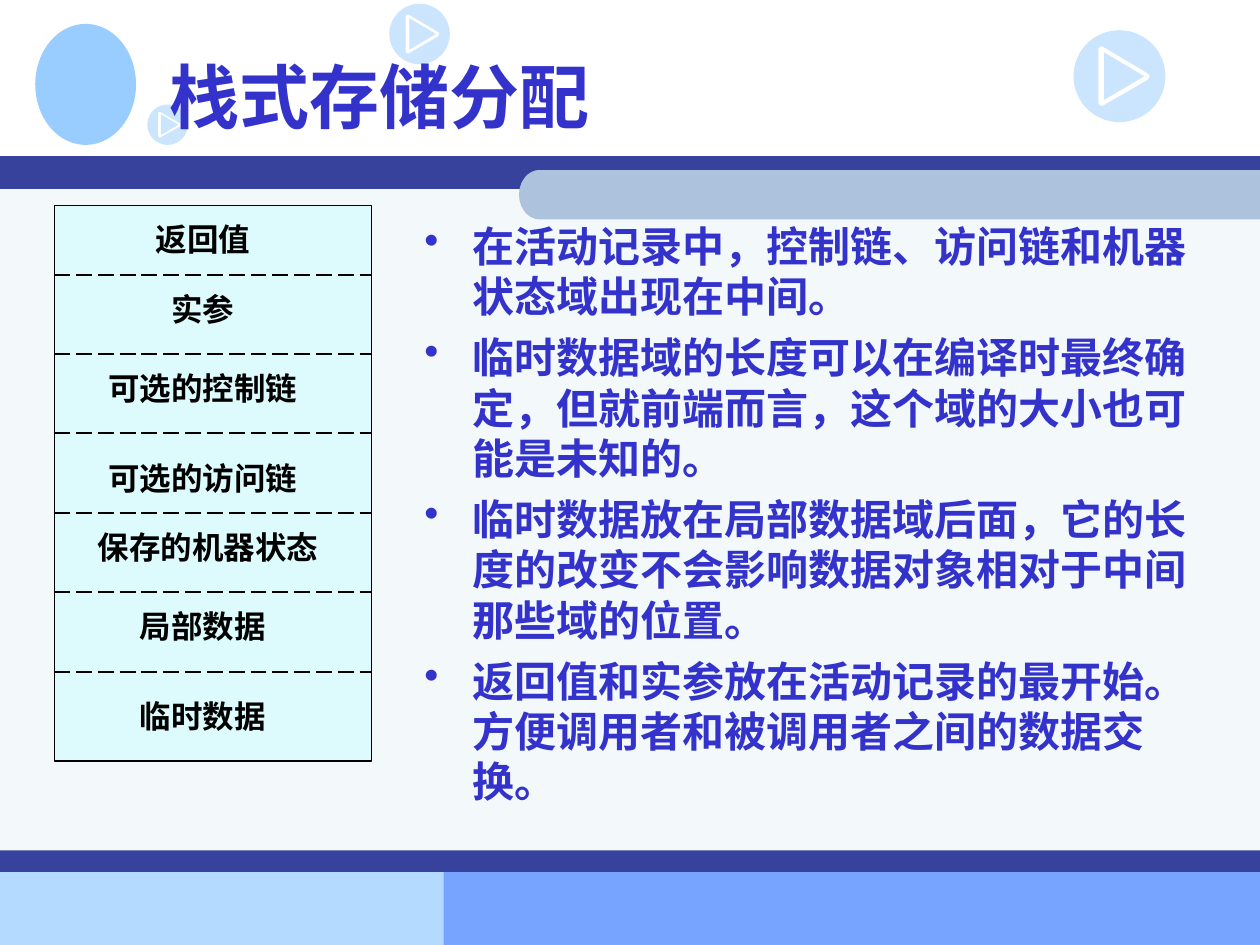
from dataclasses import dataclass
from math import cos, pi, sin

from lxml import etree
from pptx import Presentation
from pptx.dml.color import RGBColor
from pptx.enum import dml, shapes, text
from pptx.oxml.ns import qn
from pptx.util import Inches, Pt


@dataclass(frozen=True)
class Theme:
    ink: str = "3333CC"
    band: str = "36429B"
    panel: str = "F3F8FB"
    tab: str = "ADC3DD"
    footer_left: str = "B5DAFF"
    footer_right: str = "77A4FF"
    badge: str = "99CCFF"
    record: str = "CCFFFF"
    black: str = "000000"
    cjk: str = "Noto Sans CJK SC"
    serif: str = "Times New Roman"
    title_size: float = 40
    body_size: float = 24
    label_size: float = 18


@dataclass(frozen=True)
class Block:
    x: float
    y: float
    w: float
    h: float
    color: str


@dataclass(frozen=True)
class Badge:
    x: float
    y: float
    size: float


@dataclass(frozen=True)
class Field:
    label: str
    width: float = 1.89
    drop: float = 0.07
    center: float = 1.61


THEME = Theme()
UNITS_PER_INCH = 1000  # freeform points are whole numbers

BLOCKS = [
    Block(0, 6.92, 4.25, 0.58, THEME.footer_left),
    Block(3.52, 6.91, 6.48, 0.59, THEME.footer_right),
    Block(0, 1.4, 10, 5.51, THEME.panel),
    Block(0, 1.24, 10, 0.26, THEME.band),
    Block(0, 6.75, 10, 0.17, THEME.band),
]
EMBLEM = Block(0.28, 0.19, 0.8, 0.96, THEME.badge)
BADGES = [Badge(3.09, 0.03, 0.48), Badge(8.52, 0.24, 0.73), Badge(1.17, 0.83, 0.32)]

RECORD = Block(0.43, 1.63, 2.52, 4.41, THEME.record)
FIRST_DIVIDER, ROW_HEIGHT = 2.18, 0.63
FIELDS = [
    Field("返回值", 1.57),
    Field("实参", 1.57),
    Field("可选的控制链"),
    Field("可选的访问链", drop=0.15),
    Field("保存的机器状态", 2.13, center=1.65),
    Field("局部数据"),
    Field("临时数据", drop=0.15),
]
POINTS = [
    "在活动记录中，控制链、访问链和机器状态域出现在中间。",
    "临时数据域的长度可以在编译时最终确定，但就前端而言，这个域的大小也可能是未知的。",
    "临时数据放在局部数据域后面，它的长度的改变不会影响数据对象相对于中间那些域的位置。",
    "返回值和实参放在活动记录的最开始。方便调用者和被调用者之间的数据交换。",
]


def paint(sp, color: str, alpha: int = 100) -> None:
    sp.shadow.inherit = False
    sp.line.fill.background()
    sp.fill.solid()
    sp.fill.fore_color.rgb = RGBColor.from_string(color)
    if alpha < 100:
        clr = sp._element.spPr.find(qn("a:solidFill")).find(qn("a:srgbClr"))
        etree.SubElement(clr, qn("a:alpha"), val=str(alpha * 1000))


def add_block(parent, b: Block, alpha: int = 100, kind=shapes.MSO_SHAPE.RECTANGLE):
    sp = parent.add_shape(kind, Inches(b.x), Inches(b.y), Inches(b.w), Inches(b.h))
    paint(sp, b.color, alpha)
    return sp


def arc(cx: float, cy: float, rx: float, ry: float, start: float, sweep: float):
    steps = 60
    angles = [start + sweep * i / steps for i in range(steps + 1)]
    return [(cx + rx * cos(a), cy + ry * sin(a)) for a in angles]


def add_outline(parent, contours: list, color: str, alpha: int = 100) -> None:
    """Draw closed contours, in inches, as one shape; inner contours cut holes."""
    scaled = [[(x * UNITS_PER_INCH, y * UNITS_PER_INCH) for x, y in c] for c in contours]
    fb = parent.build_freeform(*scaled[0][0], scale=Inches(1) / UNITS_PER_INCH)
    for i, contour in enumerate(scaled):
        if i:
            fb.move_to(*contour[0])
        fb.add_line_segments(contour[1:], close=True)
    paint(fb.convert_to_shape(), color, alpha)


def add_badge(parent, b: Badge) -> None:
    """Draw a translucent disc with a play-triangle ring cut out of it."""
    unit = [
        arc(0.5, 0.5, 0.5, 0.5, 0, 2 * pi),
        [(0.27, 0.2), (0.29, 0.18), (0.32, 0.18), (0.81, 0.47), (0.83, 0.5),
         (0.81, 0.54), (0.32, 0.82), (0.29, 0.82), (0.27, 0.8)],
        [(0.33, 0.24), (0.33, 0.76), (0.77, 0.5)],
    ]
    contours = [[(b.x + x * b.size, b.y + y * b.size) for x, y in c] for c in unit]
    add_outline(parent, contours, THEME.badge, 50)


def add_box(parent, x: float, y: float, w: float, h: float):
    tf = parent.add_textbox(Inches(x), Inches(y), Inches(w), Inches(h)).text_frame
    tf.word_wrap = True
    return tf


def add_run(p, words: str, size: float, font: str, color: str) -> None:
    r = p.add_run()
    r.text = words
    r.font.size, r.font.bold, r.font.name = Pt(size), True, font
    r.font.color.rgb = RGBColor.from_string(color)
    etree.SubElement(r._r.get_or_add_rPr(), qn("a:ea"), typeface=THEME.cjk)


def add_bullet(p, color: str) -> None:
    pPr = p._p.get_or_add_pPr()
    indent = Inches(0.38)
    pPr.set("marL", str(indent))
    pPr.set("indent", str(-indent))
    pPr.set("hangingPunct", "0")
    clr = etree.SubElement(pPr, qn("a:buClr"))
    etree.SubElement(clr, qn("a:srgbClr"), val=color)
    etree.SubElement(pPr, qn("a:buChar"), char="•")


def add_divider(parent, y: float) -> None:
    line = parent.add_connector(shapes.MSO_CONNECTOR.STRAIGHT, Inches(RECORD.x), Inches(y),
                                Inches(RECORD.x + RECORD.w), Inches(y))
    line.line.color.rgb = RGBColor.from_string(THEME.black)
    line.line.width = Pt(1.13)
    line.line.dash_style = dml.MSO_LINE.LONG_DASH
    etree.SubElement(line._element.spPr, qn("a:effectLst"))


def add_record(parent) -> None:
    sp = add_block(parent, RECORD, 54)
    sp.line.color.rgb = RGBColor.from_string(THEME.black)
    sp.line.width = Pt(0.62)
    dividers = [FIRST_DIVIDER + ROW_HEIGHT * i for i in range(len(FIELDS) - 1)]
    for y in dividers:
        add_divider(parent, y)
    for f, top in zip(FIELDS, [RECORD.y] + dividers):
        tf = add_box(parent, f.center - f.width / 2, top + f.drop, f.width, 0.4)
        tf.auto_size = text.MSO_AUTO_SIZE.SHAPE_TO_FIT_TEXT
        p = tf.paragraphs[0]
        p.alignment = text.PP_ALIGN.CENTER
        add_run(p, f.label, THEME.label_size, THEME.cjk, THEME.black)


def main() -> None:
    prs = Presentation()
    prs.slide_width, prs.slide_height = Inches(10), Inches(7.5)
    s = prs.slides.add_slide(prs.slide_layouts[6])

    for block in BLOCKS:
        add_block(s.shapes, block)
    tab = [(10, 1.35)] + arc(4.28, 1.545, 0.16, 0.195, 1.5 * pi, -pi) + [(10, 1.74)]
    add_outline(s.shapes, [tab], THEME.tab)
    add_block(s.shapes, EMBLEM, kind=shapes.MSO_SHAPE.OVAL)
    for badge in BADGES:
        add_badge(s.shapes, badge)

    tf = add_box(s.shapes, 1.25, 0.17, 8.5, 1.17)
    tf.vertical_anchor = text.MSO_ANCHOR.MIDDLE
    add_run(tf.paragraphs[0], "栈式存储分配", THEME.title_size, THEME.cjk, THEME.ink)

    tf = add_box(s.shapes, 3.27, 1.7, 6.54, 4.96)
    for i, point in enumerate(POINTS):
        p = tf.add_paragraph() if i else tf.paragraphs[0]
        if i:
            p.space_before = Pt(6)
        add_bullet(p, THEME.ink)
        add_run(p, point, THEME.body_size, THEME.serif, THEME.ink)

    add_record(s.shapes.add_group_shape().shapes)
    prs.save("out.pptx")


if __name__ == "__main__":
    main()
